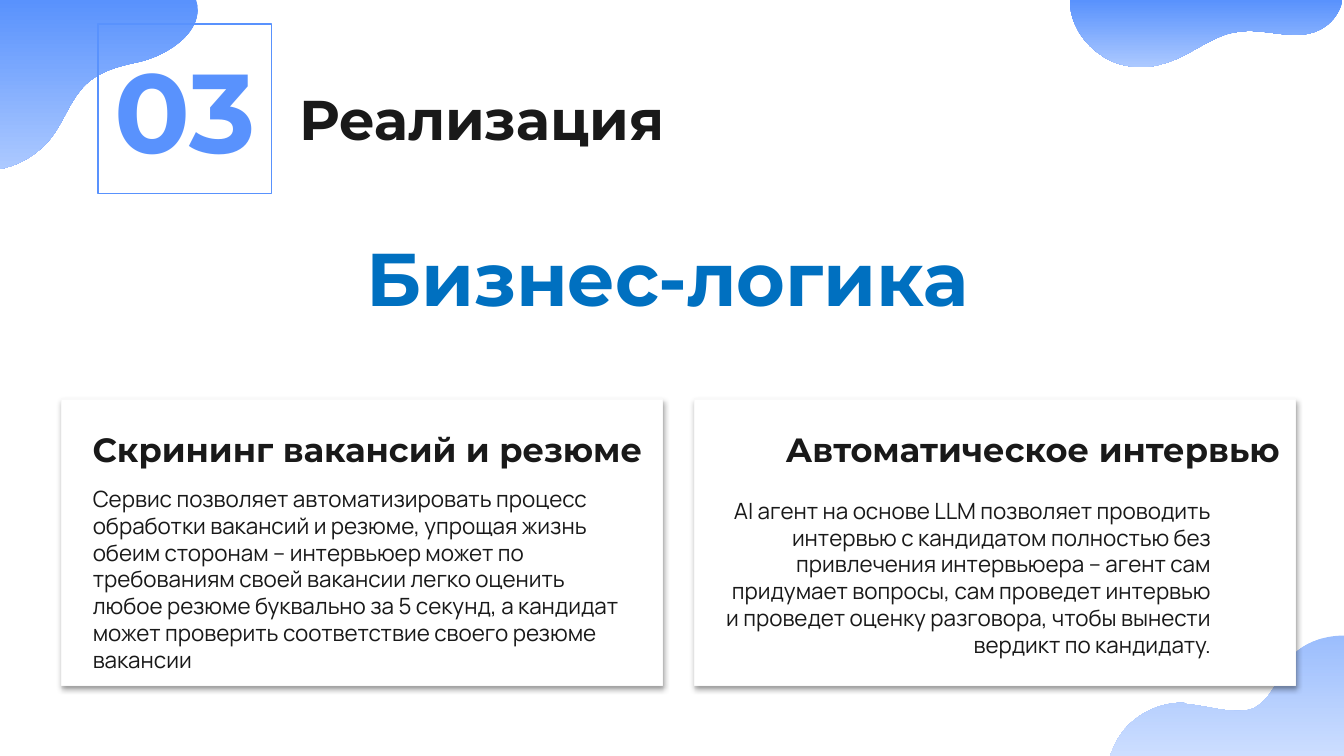
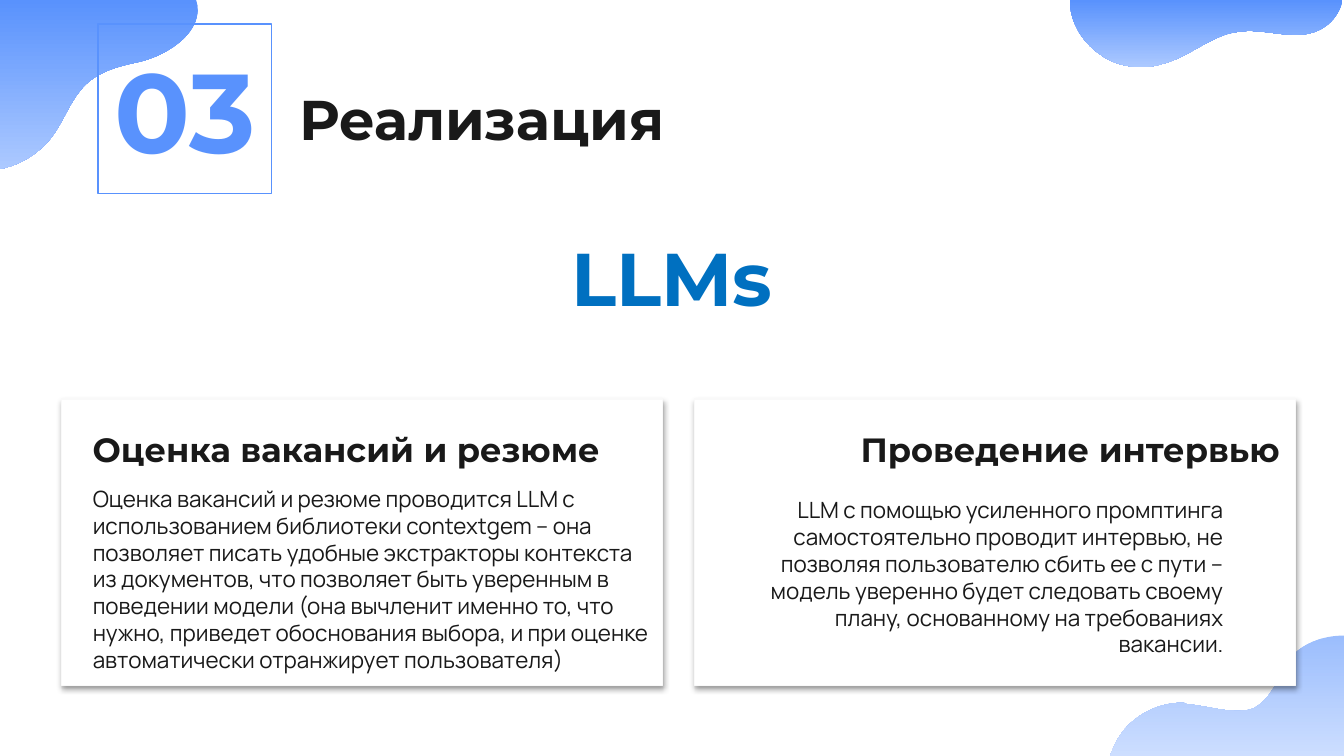
from collections import namedtuple

import pptx
import pptx.dml.color
import pptx.enum.shapes
import pptx.enum.text
import pptx.oxml
import pptx.oxml.ns
import pptx.util
from lxml import etree

Pt = pptx.util.Pt
RGBColor = pptx.dml.color.RGBColor
Align = pptx.enum.text.PP_ALIGN
Anchor = pptx.enum.text.MSO_ANCHOR
RECTANGLE = pptx.enum.shapes.MSO_SHAPE.RECTANGLE
qn = pptx.oxml.ns.qn

WHITE = RGBColor(0xFF, 0xFF, 0xFF)
INK = RGBColor(0x19, 0x19, 0x19)
BLUE = RGBColor(0x59, 0x92, 0xFD)
PALE_BLUE = RGBColor(0xAC, 0xC9, 0xFF)
TOPIC_BLUE = RGBColor(0x00, 0x70, 0xC0)
CARD_EDGE = RGBColor(0xF9, 0xF9, 0xF9)

HEADING_FONT = "Montserrat"
BODY_FONT = "Manrope"
INSET = 7.2

Box = namedtuple("Box", "left top width height")
Blob = namedtuple("Blob", "box opacity outline")
Card = namedtuple("Card", "heading body body_box align")

HEADER = Box(52.5, 12.9, 312.5, 90.72)
TOPIC = Box(189.36, 120.7, 341.28, 55.44)
LEFT_CARD, RIGHT_CARD = [
    Box(left, 213.84, 321.84, 153.36) for left in (33.12, 372.24)]

BLOBS = [
    Blob(Box(573.12, 0, 146.2, 36), 100, [
        (146.2, 0),
        (144, 10.1, 135.4, 18.7, 121.7, 18.7),
        (121, 18.7, 121, 18.7, 121, 18.7),
        (112.3, 18.7, 104.4, 16.6, 95.8, 16.6),
        (92.2, 16.6, 88.6, 17.3, 85, 18),
        (73.4, 21.6, 64.1, 29.5, 53.3, 33.1),
        (49, 34.6, 43.9, 36, 38.9, 36),
        (30.2, 36, 22.3, 33.8, 15.8, 28.8),
        (6.5, 22.3, 0, 11.5, 0, 0),
    ]),
    Blob(Box(594.72, 340.56, 125.3, 64.8), 60, [
        (124.6, 0),
        (124.6, 0, 125.3, 0, 125.3, 0),
        (125.3, 64.8),
        (0, 64.8),
        (0.7, 61.9, 2.2, 59.8, 2.9, 57.6),
        (9.4, 44.6, 23.8, 36, 38.2, 36),
        (38.9, 36, 40.3, 36, 41, 36.7),
        (49.7, 37.4, 59.8, 40.3, 67, 40.3),
        (70.6, 40.3, 74.2, 40.3, 77, 38.9),
        (89.3, 32.4, 90.7, 16.6, 100.8, 7.9),
        (107.3, 2.9, 115.9, 0, 124.6, 0),
    ]),
    Blob(Box(-0.72, 0, 110.2, 90.7), 100, [
        (0, 0),
        (0, 90.7),
        (11.5, 88.6, 22.3, 82.1, 29.5, 72),
        (36, 62.6, 39.6, 51.1, 48.2, 43.9),
        (56.2, 37.4, 65.5, 35.3, 75.6, 33.1),
        (90.7, 29.5, 110.9, 16.6, 105.8, 0),
    ]),
]

SLIDES = [
    ("Бизнес-логика", Align.LEFT, [
        Card(
            "Скрининг вакансий и резюме",
            "Сервис позволяет автоматизировать процесс обработки вакансий и "
            "резюме, упрощая жизнь обеим сторонам – интервьюер может по "
            "требованиям своей вакансии легко оценить любое резюме буквально "
            "за 5 секунд, а кандидат может проверить соответствие своего "
            "резюме вакансии",
            Box(9.5, 38.75, 302.4, 95.04), Align.LEFT),
        Card(
            "Автоматическое интервью",
            "AI агент на основе LLM позволяет проводить интервью с кандидатом "
            "полностью без привлечения интервьюера – агент сам придумает "
            "вопросы, сам проведет интервью и проведет оценку разговора, "
            "чтобы вынести вердикт по кандидату.",
            Box(9.36, 45.1, 274.32, 95.04), Align.RIGHT),
    ]),
    ("LLMs", Align.CENTER, [
        Card(
            "Оценка вакансий и резюме",
            "Оценка вакансий и резюме проводится LLM с использованием "
            "библиотеки contextgem – она позволяет писать удобные экстракторы "
            "контекста из документов, что позволяет быть уверенным в "
            "поведении модели (она вычленит именно то, что нужно, приведет "
            "обоснования выбора, и при оценке автоматически отранжирует "
            "пользователя)",
            Box(9.5, 38.75, 312.48, 95.04), Align.LEFT),
        Card(
            "Проведение интервью",
            "LLM с помощью усиленного промптинга самостоятельно проводит "
            "интервью, не позволяя пользователю сбить ее с пути – модель "
            "уверенно будет следовать своему плану, основанному на "
            "требованиях вакансии.",
            Box(16, 44.8, 274.32, 95.04), Align.RIGHT),
    ]),
]


def lengths(values):
    return [Pt(value) for value in values]


def inside(box, part):
    return part._replace(left=box.left + part.left, top=box.top + part.top)


def write_text(shape, text, size, color, font=HEADING_FONT, bold=True,
               align=Align.LEFT, anchor=Anchor.TOP, inset=INSET):
    frame = shape.text_frame
    frame.word_wrap = True
    frame.vertical_anchor = anchor
    frame.margin_left = frame.margin_right = Pt(INSET)
    frame.margin_top = frame.margin_bottom = Pt(inset)
    paragraph = frame.paragraphs[0]
    paragraph.text = text
    paragraph.alignment = align
    paragraph.font.name = font
    paragraph.font.size = Pt(size)
    paragraph.font.bold = bold
    paragraph.font.color.rgb = color


def add_text(slide, box, text, size, color, **style):
    shape = slide.shapes.add_textbox(*lengths(box))
    write_text(shape, text, size, color, **style)
    return shape


def add_rectangle(slide, box, edge):
    shape = slide.shapes.add_shape(RECTANGLE, *lengths(box))
    shape.shadow.inherit = False
    shape.fill.background()
    shape.line.color.rgb = edge
    shape.line.width = Pt(0.75)
    return shape


def add_drop_shadow(shape):
    effects = shape._element.spPr.find(qn("a:effectLst"))
    shadow = etree.SubElement(
        effects, qn("a:outerShdw"), blurRad=str(Pt(3.15)),
        dist=str(Pt(1.57)), dir="5400000", rotWithShape="0")
    color = etree.SubElement(shadow, qn("a:srgbClr"), val="000000")
    etree.SubElement(color, qn("a:alpha"), val="38000")


def bend_lines(shape, segments):
    lines = list(shape._element.spPr.iter(qn("a:lnTo")))
    for line, segment in zip(lines, segments):
        if len(segment) == 2:
            continue
        line.tag = qn("a:cubicBezTo")
        line.remove(line[0])
        for x, y in zip(segment[::2], segment[1::2]):
            etree.SubElement(line, qn("a:pt"), x=str(Pt(x)), y=str(Pt(y)))


def add_blob(slide, blob):
    start, *segments = blob.outline
    builder = slide.shapes.build_freeform(*lengths(start), scale=1.0)
    builder.add_line_segments(
        [lengths(segment[-2:]) for segment in segments], close=True)
    shape = builder.convert_to_shape(Pt(blob.box.left), Pt(blob.box.top))
    bend_lines(shape, segments)
    shape.width = Pt(blob.box.width)
    for outline in shape._element.spPr.iter(qn("a:path")):
        outline.set("w", str(shape.width))
    shape.shadow.inherit = False
    shape.fill.gradient()
    shape.fill.gradient_angle = 270
    for stop, color, position in zip(
            shape.fill.gradient_stops, (BLUE, PALE_BLUE), (0, 1)):
        stop.color.rgb = color
        stop.position = position
    if blob.opacity < 100:
        for color in shape._element.spPr.iter(qn("a:srgbClr")):
            etree.SubElement(color, qn("a:alpha"), val=str(blob.opacity * 1000))
    shape.line.fill.background()


def add_header(slide, box):
    add_text(slide, inside(box, Box(100.8, 25.2, 211.68, 45.36)),
             "Реализация", 30, INK)
    number = add_rectangle(slide, box._replace(width=92.88), BLUE)
    write_text(number, "03", 60, BLUE, align=Align.CENTER, anchor=Anchor.MIDDLE)


def add_topic(slide, box, text, align):
    shape = add_text(slide, box, text, 40, TOPIC_BLUE, align=align, inset=3.6)
    shape.text_frame.auto_size = pptx.enum.text.MSO_AUTO_SIZE.SHAPE_TO_FIT_TEXT


def add_card(slide, box, card):
    panel = add_rectangle(slide, box, CARD_EDGE)
    panel.fill.solid()
    panel.fill.fore_color.rgb = WHITE
    add_drop_shadow(panel)
    add_text(slide, inside(box, card.body_box), card.body, 12, INK,
             font=BODY_FONT, bold=False, align=card.align)
    add_text(slide, inside(box, Box(9.4, 7.9, 311.04, 36.72)), card.heading,
             18, INK, align=card.align, anchor=Anchor.BOTTOM)


def add_topic_slide(presentation, topic, topic_align, cards):
    slide = presentation.slides.add_slide(presentation.slide_layouts[6])
    slide.background.fill.solid()
    slide.background.fill.fore_color.rgb = WHITE
    for blob in BLOBS:
        add_blob(slide, blob)
    left_card, right_card = cards
    add_card(slide, LEFT_CARD, left_card)
    add_header(slide, HEADER)
    add_topic(slide, TOPIC, topic, topic_align)
    add_card(slide, RIGHT_CARD, right_card)


def main():
    presentation = pptx.Presentation()
    presentation.slide_width = Pt(720)
    presentation.slide_height = Pt(405)
    for topic, topic_align, cards in SLIDES:
        add_topic_slide(presentation, topic, topic_align, cards)
    presentation.save("out.pptx")


if __name__ == "__main__":
    main()
